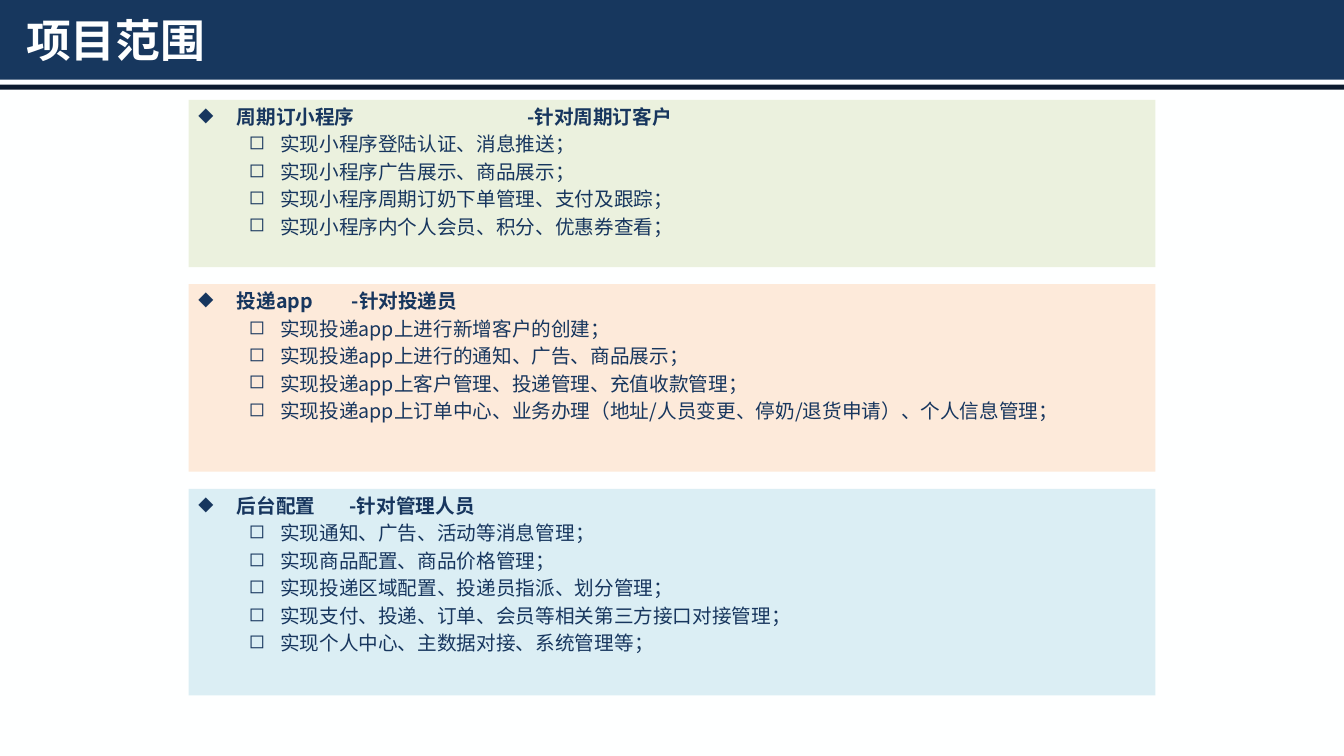
from lxml import etree
from pptx import Presentation
from pptx.dml.color import RGBColor
from pptx.enum.shapes import MSO_SHAPE
from pptx.enum.text import MSO_ANCHOR, PP_ALIGN
from pptx.oxml.ns import qn
from pptx.util import Inches, Pt

RECTANGLE = MSO_SHAPE.RECTANGLE
TOP, MIDDLE = MSO_ANCHOR.TOP, MSO_ANCHOR.MIDDLE
LEFT = PP_ALIGN.LEFT

WIDTH, HEIGHT = 13.33, 7.5
CJK_FONT, LATIN_FONT = "Noto Sans CJK SC", "Calibri"
WHITE, NAVY, DARK, INK = "FEFFFF", "17375E", "0C1B2F", "17365E"
PANEL_LEFT, PANEL_TOP, PANEL_WIDTH, PANEL_GAP = 1.87, 0.99, 9.59, 0.17

# Each panel: fill, height, heading, audience, tab position, items.
# A "|" in an item starts the part set in the Latin font.
PANELS = [
    ("EBF1DE", 1.66, "周期订小程序", "-针对周期订客户", 3.26, [
        "实现小程序登陆认证、消息推送；",
        "实现小程序广告展示、商品展示；",
        "实现小程序周期订奶下单管理、支付及跟踪；",
        "实现小程序内个人会员、积分、优惠券查看；",
    ]),
    ("FDEADA", 1.86, "投递app", "-针对投递员", 1.52, [
        "实现投递app上进行新增客户的创建|；",
        "实现投递app上进行的通知、广告、商品展示；",
        "实现投递app上客户管理、投递管理、充值收款管理|；",
        "实现投递app上订单中心、业务办理（地址/人员变更、停奶/退货申请）、个人信息管理|；",
    ]),
    ("DBEEF4", 2.05, "后台配置", "-针对管理人员", 1.5, [
        "实现通知、广告、活动等消息管理|；",
        "实现商品配置、商品价格管理|；",
        "实现投递区域配置、投递员指派、划分管理；",
        "实现支付、投递、订单、会员等相关第三方接口对接管理；",
        "实现个人中心、主数据对接、系统管理等|；",
    ]),
]


def color(hex_string):
    """Turn a hex string into a colour."""
    return RGBColor.from_string(hex_string)


def add_block(page, left, top, width, height, fill):
    """Add a plain filled rectangle without line or shadow."""
    block = page.shapes.add_shape(
        RECTANGLE, Inches(left), Inches(top), Inches(width), Inches(height))
    block.shadow.inherit = False
    block.fill.solid()
    block.fill.fore_color.rgb = color(fill)
    block.line.fill.background()
    return block


def add_span(para, text, size, ink, bold=False, font=CJK_FONT):
    """Add one run of text to a paragraph."""
    span = para.add_run()
    span.text = text
    span.font.size = Pt(size)
    span.font.bold = bold
    span.font.name = font
    span.font.color.rgb = color(ink)
    east_asian = etree.SubElement(span.font._element, qn("a:ea"))
    east_asian.set("typeface", CJK_FONT)


def format_bullet(para, mark, margin, hanging, tab=None):
    """Give a paragraph its bullet, indents, spacing and tab stop."""
    para.alignment = LEFT
    para.line_spacing = Pt(16.8)
    para.space_before = Pt(2.8)
    properties = para._p.get_or_add_pPr()
    properties.set("marL", str(Inches(margin)))
    properties.set("indent", str(-Inches(hanging)))
    etree.SubElement(properties, qn("a:buChar")).set("char", mark)
    if tab:
        tabs = etree.SubElement(properties, qn("a:tabLst"))
        stop = etree.SubElement(tabs, qn("a:tab"))
        stop.set("pos", str(Inches(tab)))
        stop.set("algn", "l")


def add_title(page, text):
    """Add the slide title over the header band."""
    box = page.shapes.add_textbox(
        Inches(0.16), Inches(0.09), Inches(6.43), Inches(0.6))
    frame = box.text_frame
    frame.word_wrap = True
    frame.vertical_anchor = MIDDLE
    add_span(frame.paragraphs[0], text, 32, WHITE, bold=True)


def add_panel(page, top, fill, height, heading, audience, tab, items):
    """Add a coloured panel with a heading and its bulleted items."""
    panel = add_block(page, PANEL_LEFT, top, PANEL_WIDTH, height, fill)
    frame = panel.text_frame
    frame.word_wrap = True
    frame.vertical_anchor = TOP
    para = frame.paragraphs[0]
    format_bullet(para, "◆", 0.38, 0.38, tab)
    add_span(para, f"{heading}\t{audience}", 14, INK, bold=True)
    for item in items:
        para = frame.add_paragraph()
        para.level = 1
        format_bullet(para, "◻", 0.81, 0.31)
        for text, font in zip(item.split("|"), (CJK_FONT, LATIN_FONT)):
            add_span(para, text, 14, INK, font=font)


def main():
    """Build the project scope slide."""
    deck = Presentation()
    deck.slide_width, deck.slide_height = Inches(WIDTH), Inches(HEIGHT)
    page = deck.slides.add_slide(deck.slide_layouts[6])
    page.background.fill.solid()
    page.background.fill.fore_color.rgb = color(WHITE)

    add_block(page, 0, 0, WIDTH, 0.79, NAVY)
    add_block(page, 0, 0.84, WIDTH, 0.05, DARK)
    add_title(page, "项目范围")

    top = PANEL_TOP
    for fill, height, *content in PANELS:
        add_panel(page, top, fill, height, *content)
        top += height + PANEL_GAP
    deck.save("out.pptx")


main()
